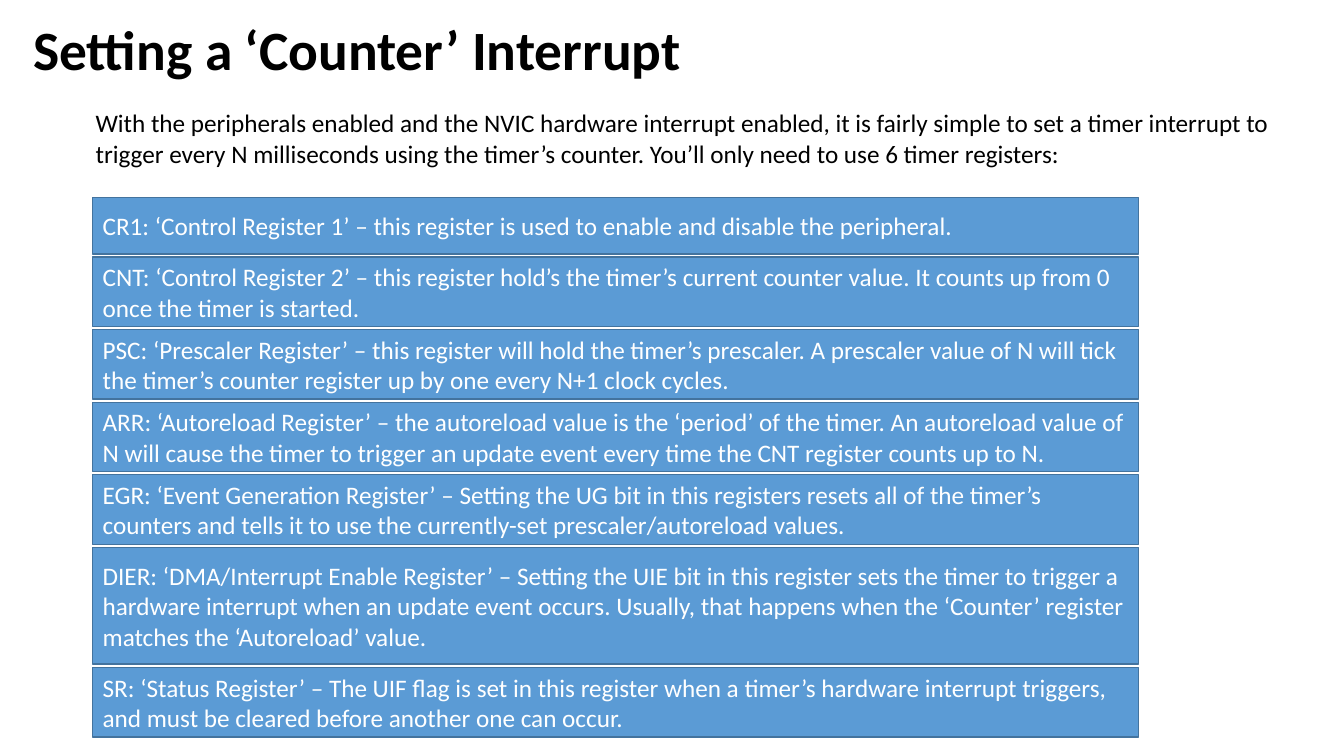
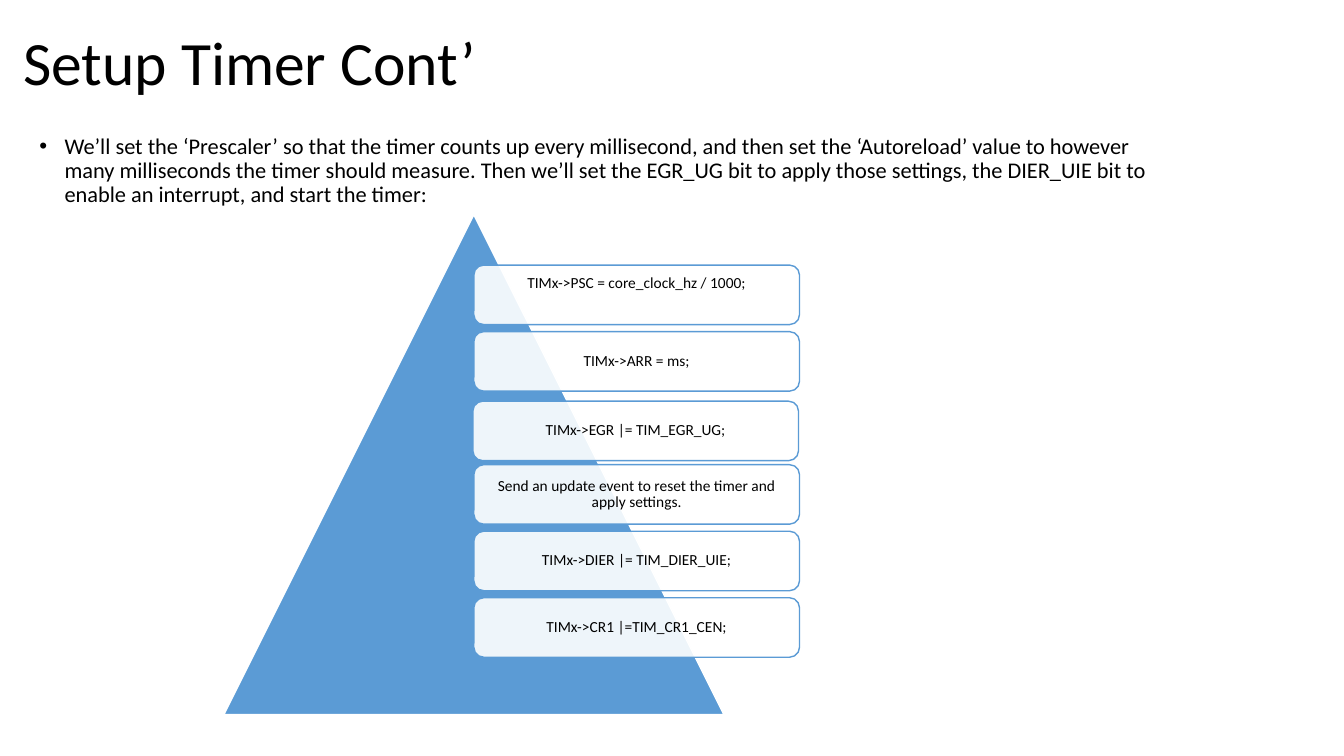
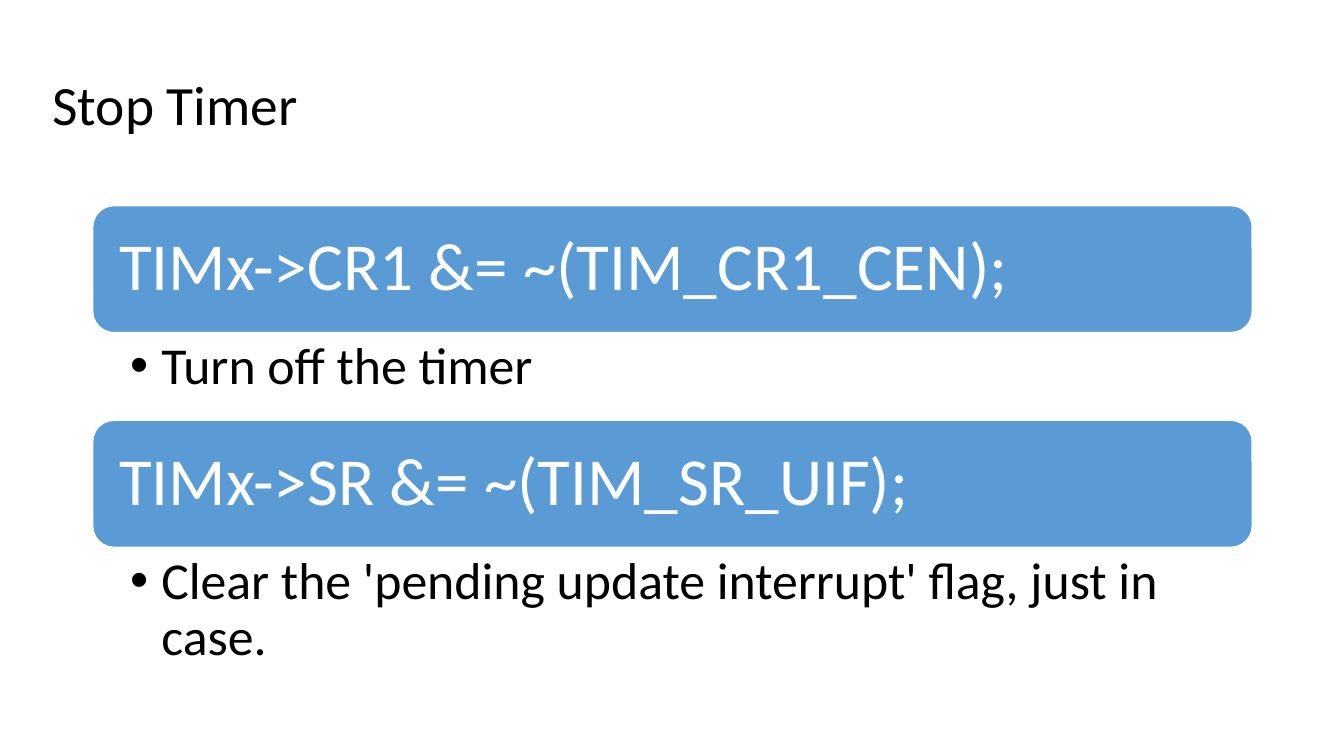
"""Builds three slides on configuring, starting and stopping a timer interrupt."""
from dataclasses import dataclass

import lxml.etree
import pptx
import pptx.dml.color
import pptx.enum.shapes
import pptx.enum.text
import pptx.oxml.ns
import pptx.util

SHAPE = pptx.enum.shapes.MSO_SHAPE
ALIGN = pptx.enum.text.PP_ALIGN
ANCHOR = pptx.enum.text.MSO_ANCHOR
EMU_PER_PX = 9144


@dataclass(frozen=True)
class Theme:
    font: str = "Calibri"
    blue: str = "5B9BD5"
    edge: str = "43739E"
    white: str = "FFFFFF"
    black: str = "000000"
    title: float = 44
    small_title: float = 39.6
    text: float = 18
    bullet: float = 16
    card: float = 11
    code: float = 48
    note: float = 37


@dataclass(frozen=True)
class Box:
    left: int
    top: int
    width: int
    height: int


@dataclass(frozen=True)
class Register:
    text: str
    height: int = 69


@dataclass(frozen=True)
class Card:
    text: str
    dx: int = 0
    dy: int = 0
    foot: int = 5


@dataclass(frozen=True)
class Step:
    code: str
    note: str
    note_height: int


THEME = Theme()
INSETS = (10, 5, 10, 5)

REGISTERS = [
    Register("CR1: ‘Control Register 1’ – this register is used to enable and disable the peripheral.", 56),
    Register("CNT: ‘Control Register 2’ – this register hold’s the timer’s current counter value. "
             "It counts up from 0 once the timer is started."),
    Register("PSC: ‘Prescaler Register’ – this register will hold the timer’s prescaler. "
             "A prescaler value of N will tick the timer’s counter register up by one every N+1 clock cycles."),
    Register("ARR: ‘Autoreload Register’ – the autoreload value is the ‘period’ of the timer. An autoreload "
             "value of N will cause the timer to trigger an update event every time the CNT register counts up to N."),
    Register("EGR: ‘Event Generation Register’ – Setting the UG bit in this registers resets all of the timer’s "
             "counters and tells it to use the currently-set prescaler/autoreload values."),
    Register("DIER: ‘DMA/Interrupt Enable Register’ – Setting the UIE bit in this register sets the timer to "
             "trigger a hardware interrupt when an update event occurs. Usually, that happens when the ‘Counter’ "
             "register matches the ‘Autoreload’ value.", 116),
    Register("SR: ‘Status Register’ – The UIF flag is set in this register when a timer’s hardware interrupt "
             "triggers, and must be cleared before another one can occur."),
]

CARDS = [
    Card("TIMx->PSC = core_clock_hz / 1000;", foot=27),
    Card("TIMx->ARR = ms;"),
    Card("TIMx->EGR |= TIM_EGR_UG;", dx=-1, dy=3),
    Card("Send an update event to reset the timer and apply settings."),
    Card("TIMx->DIER |= TIM_DIER_UIE;"),
    Card("TIMx->CR1 |=TIM_CR1_CEN;"),
]

STEPS = [
    Step("TIMx->CR1 &= ~(TIM_CR1_CEN);", "Turn off the timer", 87),
    Step("TIMx->SR &= ~(TIM_SR_UIF);", "Clear the 'pending update interrupt' flag, just in case.", 128),
]


def px(n: int) -> int:
    return n * EMU_PER_PX


def rgb(color: str) -> pptx.dml.color.RGBColor:
    return pptx.dml.color.RGBColor.from_string(color)


def place(sp, box: Box) -> None:
    sp.left, sp.top = px(box.left), px(box.top)
    sp.width, sp.height = px(box.width), px(box.height)


def write(sp, text: str, *, size: float, color: str = THEME.black, bold: bool = False,
          align=ALIGN.LEFT, anchor=ANCHOR.MIDDLE, insets: tuple = INSETS,
          spacing: float = 0.9, before: float = 0, hang: int = 0) -> None:
    tf = sp.text_frame
    tf.word_wrap = True
    tf.auto_size = pptx.enum.text.MSO_AUTO_SIZE.NONE
    tf.vertical_anchor = anchor
    tf.margin_left, tf.margin_top, tf.margin_right, tf.margin_bottom = map(px, insets)
    p = tf.paragraphs[0]
    p.alignment = align
    p.line_spacing = spacing
    p.space_before = pptx.util.Pt(before)
    if hang:
        pPr = p._p.get_or_add_pPr()
        pPr.set("marL", str(px(hang)))
        pPr.set("indent", str(-px(hang)))
    r = p.add_run()
    r.text = text
    r.font.name = THEME.font
    r.font.size = pptx.util.Pt(size)
    r.font.bold = bold
    r.font.color.rgb = rgb(color)


def add_shape(s, kind, box: Box, *, fill: str, line: str, alpha: int = 100):
    sp = s.shapes.add_shape(kind, 0, 0, 0, 0)
    place(sp, box)
    sp.shadow.inherit = False
    sp.fill.solid()
    sp.fill.fore_color.rgb = rgb(fill)
    sp.line.color.rgb = rgb(line)
    sp.line.width = pptx.util.Pt(1)
    if alpha < 100:
        qn = pptx.oxml.ns.qn
        clr = sp._element.spPr.find(qn("a:solidFill")).find(qn("a:srgbClr"))
        lxml.etree.SubElement(clr, qn("a:alpha")).set("val", str(alpha * 1000))
    return sp


def add_slide(prs, layout: int, title: str, box: Box, *, size: float, bold: bool = False):
    s = prs.slides.add_slide(prs.slide_layouts[layout])
    place(s.shapes.title, box)
    write(s.shapes.title, title, size=size, bold=bold)
    return s


def build_registers(prs) -> None:
    s = add_slide(prs, 5, "Setting a ‘Counter’ Interrupt", Box(23, 11, 1219, 82),
                  size=THEME.small_title, bold=True)
    top, gap = 196, 3
    for register in REGISTERS:
        sp = add_shape(s, SHAPE.RECTANGLE, Box(92, top, 1037, register.height),
                       fill=THEME.blue, line=THEME.edge)
        write(sp, register.text, size=THEME.text, color=THEME.white, spacing=1)
        top += register.height + gap
    intro = s.shapes.add_textbox(0, 0, 0, 0)
    place(intro, Box(85, 102, 1207, 71))
    write(intro, "With the peripherals enabled and the NVIC hardware interrupt enabled, it is fairly simple to set "
          "a timer interrupt to trigger every N milliseconds using the timer’s counter. You’ll only need to use "
          "6 timer registers:", size=THEME.text, anchor=ANCHOR.TOP, spacing=1)


def build_setup(prs) -> None:
    s = add_slide(prs, 1, "Setup Timer Cont’", Box(13, 13, 1150, 104), size=THEME.title)
    body = s.placeholders[1]
    place(body, Box(29, 129, 1150, 476))
    write(body, "We’ll set the ‘Prescaler’ so that the timer counts up every millisecond, and then set the "
          "‘Autoreload’ value to however many milliseconds the timer should measure. Then we’ll set the EGR_UG "
          "bit to apply those settings, the DIER_UIE bit to enable an interrupt, and start the timer:",
          size=THEME.bullet, anchor=ANCHOR.TOP, before=10, hang=25)
    add_shape(s, SHAPE.ISOSCELES_TRIANGLE, Box(222, 213, 496, 496), fill=THEME.blue, line=THEME.white)
    pitch = 66
    for i, card in enumerate(CARDS):
        sp = add_shape(s, SHAPE.ROUNDED_RECTANGLE, Box(470 + card.dx, 263 + i * pitch + card.dy, 323, 59),
                       fill=THEME.white, line=THEME.blue, alpha=90)
        write(sp, card.text, size=THEME.card, align=ALIGN.CENTER, insets=(5, 5, 5, card.foot))


def build_stop(prs) -> None:
    s = add_slide(prs, 3, "Stop Timer", Box(42, 54, 1182, 106), size=THEME.small_title)
    left, top, width, bar = 92, 204, 1150, 126
    for i, step in enumerate(STEPS, start=1):
        sp = add_shape(s, SHAPE.ROUNDED_RECTANGLE, Box(left, top, width, bar),
                       fill=THEME.blue, line=THEME.white)
        write(sp, step.code, size=THEME.code, color=THEME.white, insets=(20, 20, 20, 20))
        note = s.placeholders[i]
        place(note, Box(left, top + bar, width, step.note_height))
        write(note, step.note, size=THEME.note, anchor=ANCHOR.TOP, insets=(37, 7, 37, 7), hang=31)
        top += bar + step.note_height


def main() -> None:
    prs = pptx.Presentation()
    prs.slide_width, prs.slide_height = px(1333), px(750)
    build_registers(prs)
    build_setup(prs)
    build_stop(prs)
    prs.save("out.pptx")


if __name__ == "__main__":
    main()
